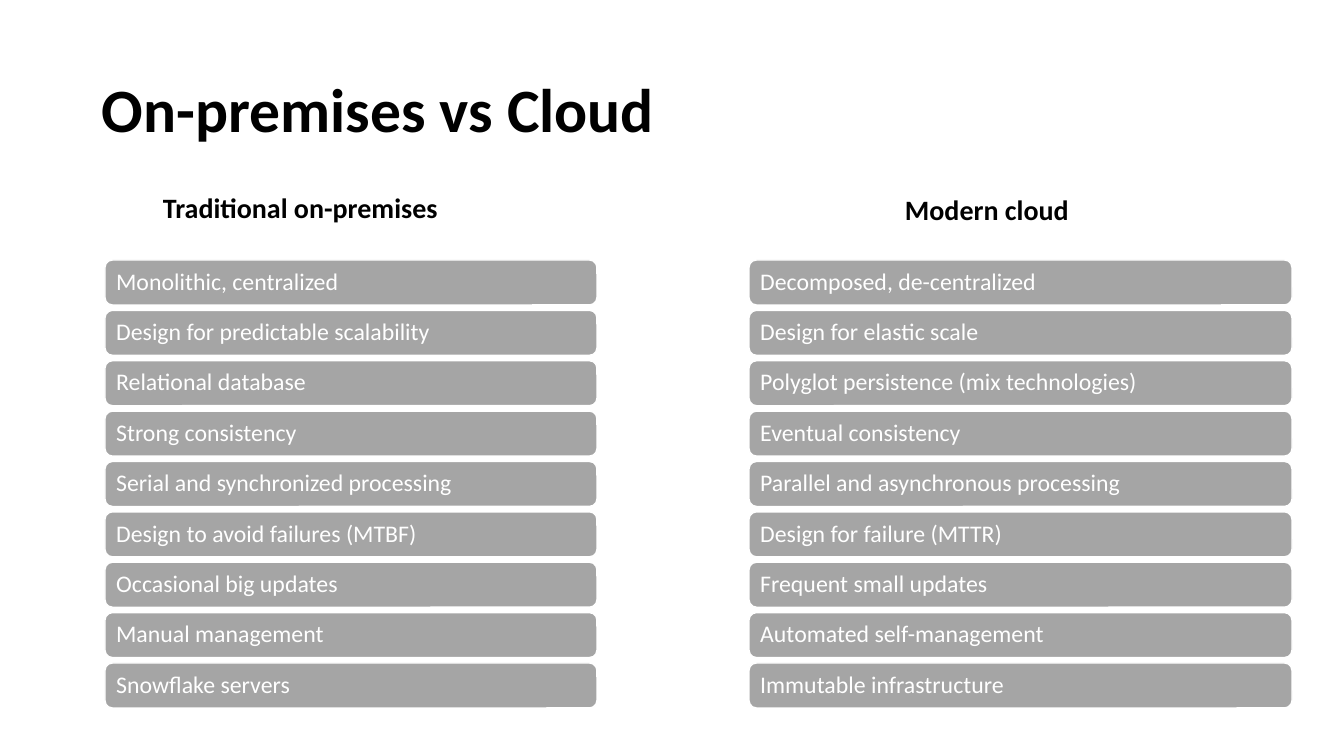
from pptx import Presentation
from pptx import util as u
from pptx.dml.color import RGBColor
from pptx.enum import shapes, text

TITLE = "On-premises vs Cloud"
COLUMNS = [
    {
        "heading": "Traditional on-premises",
        "heading_box": (153, 186, 332, 44),
        "left": 105,
        "width": 492,
        "items": [
            "Monolithic, centralized",
            "Design for predictable scalability",
            "Relational database",
            "Strong consistency",
            "Serial and synchronized processing",
            "Design to avoid failures (MTBF)",
            "Occasional big updates",
            "Manual management",
            "Snowflake servers",
        ],
    },
    {
        "heading": "Modern cloud",
        "heading_box": (895, 188, 200, 44),
        "left": 749,
        "width": 543,
        "items": [
            "Decomposed, de-centralized",
            "Design for elastic scale",
            "Polyglot persistence (mix technologies)",
            "Eventual consistency",
            "Parallel and asynchronous processing",
            "Design for failure (MTTR)",
            "Frequent small updates",
            "Automated self-management",
            "Immutable infrastructure",
        ],
    },
]

BLACK = RGBColor(0x00, 0x00, 0x00)
WHITE = RGBColor(0xFF, 0xFF, 0xFF)
GRAY = RGBColor(0xA5, 0xA5, 0xA5)
FONT = "Calibri"
FIRST_TOP, LAST_TOP, BAR_HEIGHT, BAR_INSET = 260, 663, 45, 9


def px(n):
    return round(n * 914400 / 100.8)


def write(sp, words, size, color, bold=False, spacing=1.0):
    tf = sp.text_frame
    tf.text = words
    tf.word_wrap = True
    p = tf.paragraphs[0]
    p.alignment = text.PP_ALIGN.LEFT
    p.line_spacing = spacing
    font = p.runs[0].font
    font.name, font.size, font.bold = FONT, u.Pt(size), bold
    font.color.rgb = color
    return tf


def add_label(s, box, words, size, spacing=1.0):
    sp = s.shapes.add_textbox(*map(px, box))
    return write(sp, words, size, BLACK, True, spacing)


def add_bar(s, box, words):
    sp = s.shapes.add_shape(shapes.MSO_SHAPE.ROUNDED_RECTANGLE, *map(px, box))
    sp.shadow.inherit = False
    sp.fill.solid()
    sp.fill.fore_color.rgb = GRAY
    sp.line.color.rgb = WHITE
    sp.line.width = u.Pt(1)
    tf = write(sp, words, 17, WHITE, spacing=0.9)
    tf.vertical_anchor = text.MSO_ANCHOR.MIDDLE
    tf.margin_left = tf.margin_right = px(BAR_INSET)
    tf.margin_top = tf.margin_bottom = px(BAR_INSET)


prs = Presentation()
prs.slide_width, prs.slide_height = px(1344), px(756)
s = prs.slides.add_slide(prs.slide_layouts[6])

tf = add_label(s, (92, 40, 1159, 146), TITLE, 44, 0.9)
tf.vertical_anchor = text.MSO_ANCHOR.MIDDLE

for column in COLUMNS:
    items = column["items"]
    pitch = (LAST_TOP - FIRST_TOP) / (len(items) - 1)
    for i, item in enumerate(items):
        top = FIRST_TOP + i * pitch
        add_bar(s, (column["left"], top, column["width"], BAR_HEIGHT), item)
    add_label(s, column["heading_box"], column["heading"], 20)

prs.save("out.pptx")
